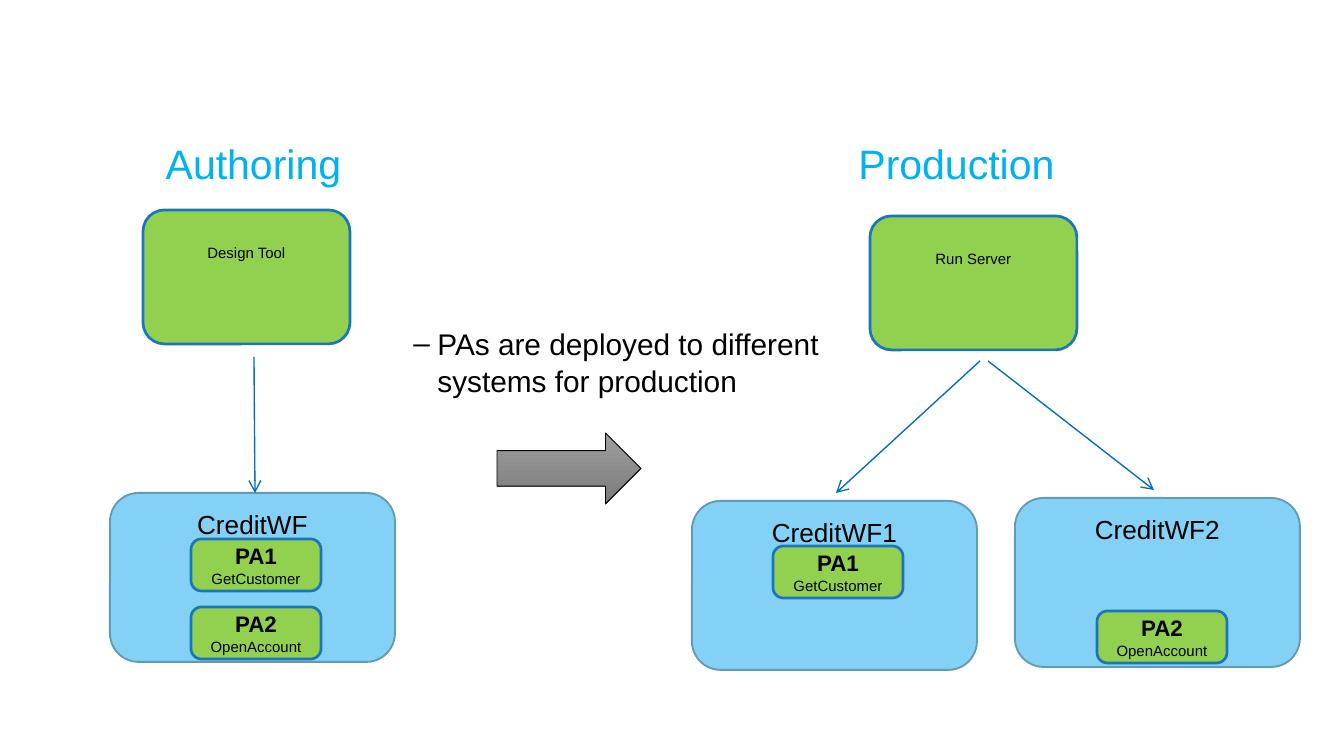
from dataclasses import dataclass

from lxml import etree
from pptx import Presentation
from pptx.dml.color import RGBColor
from pptx.enum.shapes import MSO_CONNECTOR, MSO_SHAPE
from pptx.enum.text import MSO_ANCHOR, MSO_AUTO_SIZE, PP_ALIGN
from pptx.oxml.ns import qn
from pptx.util import Emu, Pt

ROUND, ARROW = MSO_SHAPE.ROUNDED_RECTANGLE, MSO_SHAPE.RIGHT_ARROW
STRAIGHT = MSO_CONNECTOR.STRAIGHT
TOP, MIDDLE = MSO_ANCHOR.TOP, MSO_ANCHOR.MIDDLE
CENTER, NO_FIT = PP_ALIGN.CENTER, MSO_AUTO_SIZE.NONE
PX_PER_INCH = 134.4
FONT = "Arial"
BLACK, HEADING_BLUE, LINK_BLUE = "000000", "00B2EF", "0070C0"


@dataclass(frozen=True)
class BoxStyle:
    width: int
    height: int
    fill: str
    line: str
    weight: float
    corner: float
    anchor: MSO_ANCHOR
    inset_top: int


@dataclass(frozen=True)
class Line:
    text: str
    size: int
    bold: bool = False


@dataclass(frozen=True)
class Box:
    style: BoxStyle
    left: int
    top: int
    lines: tuple[Line, ...]


@dataclass(frozen=True)
class Link:
    x1: int
    y1: int
    x2: int
    y2: int


APP = BoxStyle(207, 134, "92D050", "1B75BC", 1.45, 0.16, TOP, 27)
WORKFLOW = BoxStyle(285, 169, "83D1F5", "619BB5", 1, 0.17, TOP, 7)
PA = BoxStyle(130, 52, "92D050", "1B75BC", 1.45, 0.2, MIDDLE, 5)
PA1 = (Line("PA1", 12, True), Line("GetCustomer", 8))
PA2 = (Line("PA2", 12, True), Line("OpenAccount", 8))

BOXES = (
    Box(APP, 143, 210, (Line("Design Tool", 8),)),
    Box(APP, 870, 216, (Line("Run Server", 8),)),
    Box(WORKFLOW, 110, 493, (Line("CreditWF", 14),)),
    Box(WORKFLOW, 692, 501, (Line("CreditWF1", 14),)),
    Box(WORKFLOW, 1015, 498, (Line("CreditWF2", 14),)),
    Box(PA, 191, 539, PA1),
    Box(PA, 191, 607, PA2),
    Box(PA, 773, 546, PA1),
    Box(PA, 1097, 611, PA2),
)
LINKS = (
    Link(254, 357, 255, 493),
    Link(980, 361, 836, 493),
    Link(988, 361, 1154, 490),
)
HEADINGS = (("Authoring", 52), ("Production", 755))


def px(n: int) -> Emu:
    return Emu(round(n * 914400 / PX_PER_INCH))


def rgb(value: str) -> RGBColor:
    return RGBColor.from_string(value)


def assign(target, **values) -> None:
    for name, value in values.items():
        setattr(target, name, value)


def add_run(p, text: str, size: int, color: str = BLACK, bold: bool = False) -> None:
    r = p.add_run()
    r.text = text
    assign(r.font, name=FONT, size=Pt(size), bold=bold)
    r.font.color.rgb = rgb(color)


def set_line(sp, color: str, weight: float) -> None:
    sp.line.color.rgb = rgb(color)
    sp.line.width = Pt(weight)


def add_box(slide, box: Box) -> None:
    st = box.style
    sp = slide.shapes.add_shape(
        ROUND, px(box.left), px(box.top), px(st.width), px(st.height))
    sp.adjustments[0] = st.corner
    sp.shadow.inherit = False
    sp.fill.solid()
    sp.fill.fore_color.rgb = rgb(st.fill)
    set_line(sp, st.line, st.weight)
    tf = sp.text_frame
    assign(tf, word_wrap=False, vertical_anchor=st.anchor,
           margin_top=px(st.inset_top), margin_bottom=px(5))
    for i, line in enumerate(box.lines):
        p = tf.add_paragraph() if i else tf.paragraphs[0]
        p.alignment = CENTER
        add_run(p, line.text, line.size, bold=line.bold)


def add_link(slide, link: Link) -> None:
    sp = slide.shapes.add_connector(
        STRAIGHT, px(link.x1), px(link.y1), px(link.x2), px(link.y2))
    set_line(sp, LINK_BLUE, 0.75)
    props = sp._element.spPr
    etree.SubElement(props.find(qn("a:ln")), qn("a:tailEnd"), type="arrow")
    etree.SubElement(props, qn("a:effectLst"))


def add_heading(slide, text: str, left: int) -> None:
    sp = slide.shapes.add_textbox(px(left), px(132), px(403), px(63))
    tf = sp.text_frame
    tf.word_wrap = True
    p = tf.paragraphs[0]
    p.alignment = CENTER
    add_run(p, text, 22, HEADING_BLUE)


def add_deploy_arrow(slide) -> None:
    sp = slide.shapes.add_shape(ARROW, px(497), px(433), px(144), px(71))
    sp.shadow.inherit = False
    sp.fill.gradient()
    sp.fill.gradient_angle = 270
    for stop, color in zip(sp.fill.gradient_stops, ("9D9D9D", "7C7C7C")):
        stop.color.rgb = rgb(color)
    set_line(sp, BLACK, 0.5)


def fill_body(sp, text: str) -> None:
    assign(sp, left=px(349), top=px(317), width=px(492), height=px(200))
    tf = sp.text_frame
    assign(tf, word_wrap=True, auto_size=NO_FIT, vertical_anchor=TOP)
    p = tf.paragraphs[0]
    assign(p, level=1, line_spacing=1.05, space_before=Pt(0))
    add_run(p, text, 16)
    props = p._p.get_or_add_pPr()
    props.set("marL", str(px(75)))
    props.set("indent", str(-px(24)))
    color = etree.SubElement(props, qn("a:buClr"))
    etree.SubElement(color, qn("a:srgbClr"), val=BLACK)
    etree.SubElement(props, qn("a:buFont"), typeface=FONT)
    etree.SubElement(props, qn("a:buChar"), char="–")


def main() -> None:
    prs = Presentation()
    assign(prs, slide_width=px(1344), slide_height=px(756))
    slide = prs.slides.add_slide(prs.slide_layouts[1])
    title, body = slide.placeholders
    title._element.getparent().remove(title._element)
    fill_body(body, "PAs are deployed to different systems for production")
    for box in BOXES:
        add_box(slide, box)
    for link in LINKS:
        add_link(slide, link)
    for text, left in HEADINGS:
        add_heading(slide, text, left)
    add_deploy_arrow(slide)
    prs.save("out.pptx")


main()
